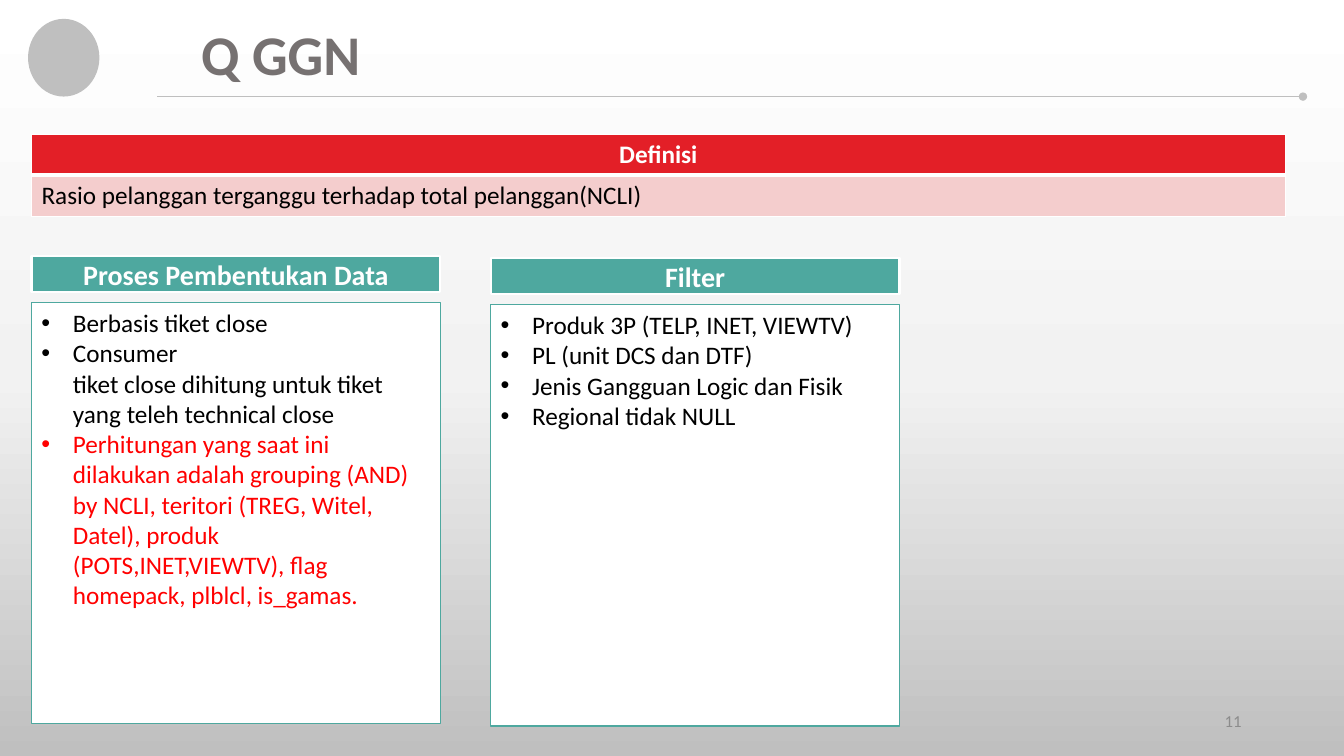
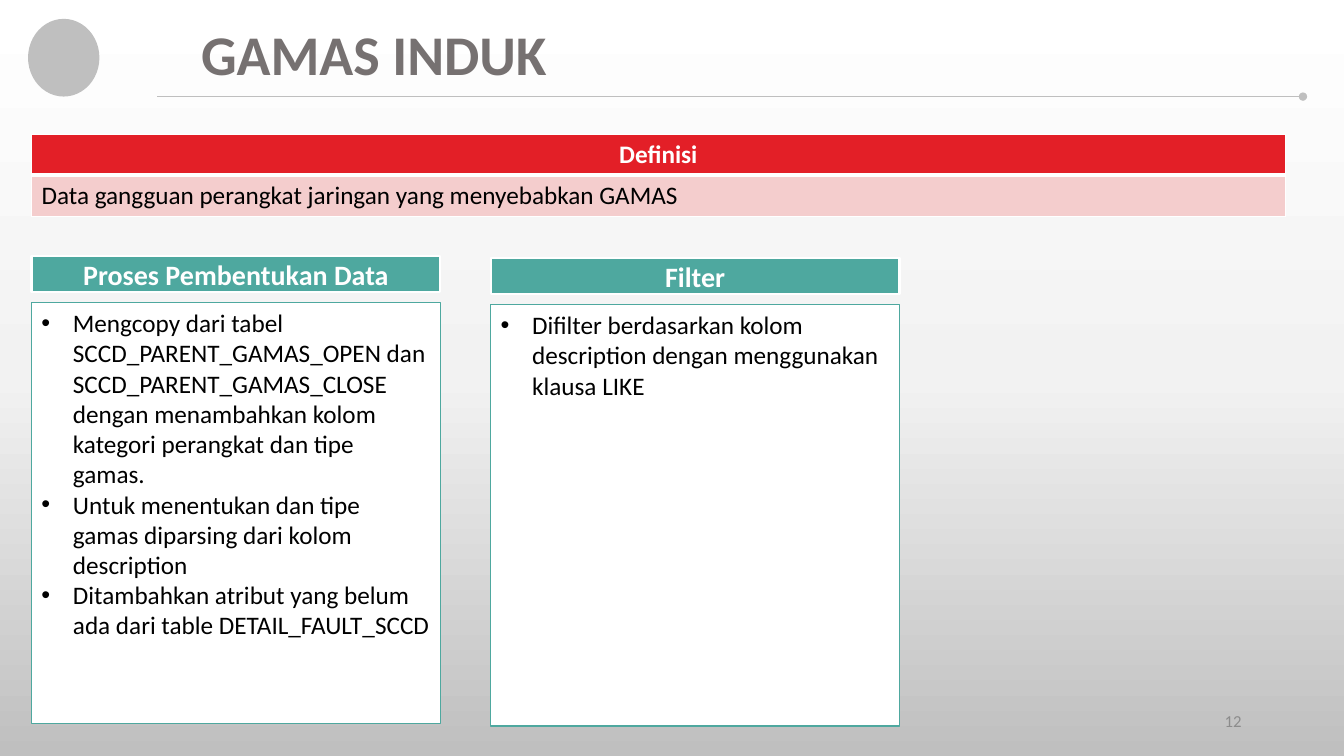
"""Build the two data-definition slides, Q GGN and GAMAS INDUK."""
from copy import deepcopy
from dataclasses import dataclass

from lxml.etree import SubElement
from pptx import Presentation
from pptx.dml.color import RGBColor as Rgb
from pptx.enum.shapes import MSO_CONNECTOR as Connector, MSO_SHAPE as Preset
from pptx.enum.text import MSO_ANCHOR as Anchor, MSO_AUTO_SIZE as AutoSize, PP_ALIGN as Align
from pptx.oxml.ns import qn
from pptx.util import Pt

FONT = "Calibri"
COLORS = {
    "white": "FFFFFF", "black": "000000", "mist": "F2F2F2", "silver": "BFBFBF",
    "title": "767171", "number": "8C8C8C", "red": "E31F27", "pink": "F4CDCD",
    "teal": "4EA89F", "alert": "FF0000",
}
LEFT = 22.5
COLUMN_WIDTH, COLUMN_STEP = 292, 328
HEADING_TOP, HEADING_HEIGHT = 183, 25.6
PANEL_OFFSET, PANEL_HEIGHT = 33, 301
COLUMN_DROP = 1.5
TABLE_WIDTH, ROW_HEIGHT = 895.5, 29.2
BULLET_INDENT = 22.5


@dataclass(frozen=True)
class Point:
    text: str
    color: str = "black"


@dataclass(frozen=True)
class Column:
    heading: str
    points: tuple[Point, ...]


@dataclass(frozen=True)
class Topic:
    number: int
    title: str
    definition: str
    columns: tuple[Column, ...]


TOPICS = (
    Topic(11, "Q GGN", "Rasio pelanggan terganggu terhadap total pelanggan(NCLI)", (
        Column("Proses Pembentukan Data", (
            Point("Berbasis tiket close"),
            Point("Consumer\ntiket close dihitung untuk tiket yang teleh technical close"),
            Point("Perhitungan yang saat ini dilakukan adalah grouping (AND) by NCLI, "
                  "teritori (TREG, Witel, Datel), produk (POTS,INET,VIEWTV), flag "
                  "homepack, plblcl, is_gamas.", "alert"),
        )),
        Column("Filter", (
            Point("Produk 3P (TELP, INET, VIEWTV)"),
            Point("PL (unit DCS dan DTF)"),
            Point("Jenis Gangguan Logic dan Fisik"),
            Point("Regional tidak NULL"),
        )),
    )),
    Topic(12, "GAMAS INDUK", "Data gangguan perangkat jaringan yang menyebabkan GAMAS", (
        Column("Proses Pembentukan Data", (
            Point("Mengcopy dari tabel SCCD_PARENT_GAMAS_OPEN dan SCCD_PARENT_GAMAS_CLOSE "
                  "dengan menambahkan kolom kategori perangkat dan tipe gamas."),
            Point("Untuk menentukan dan tipe gamas diparsing dari kolom description"),
            Point("Ditambahkan atribut yang belum ada dari table DETAIL_FAULT_SCCD"),
        )),
        Column("Filter", (
            Point("Difilter berdasarkan kolom description dengan menggunakan klausa LIKE"),
        )),
    )),
)


def rgb(name: str) -> Rgb:
    return Rgb.from_string(COLORS[name])


def write(paragraph, text: str, *, size: float = 18, color: str = "black",
          bold: bool = False, align=Align.LEFT, bullet: bool = False) -> None:
    paragraph.text = text
    paragraph.alignment = align
    if bullet:
        properties = paragraph._p.get_or_add_pPr()
        properties.set("marL", str(Pt(BULLET_INDENT)))
        properties.set("indent", str(-Pt(BULLET_INDENT)))
        SubElement(properties, qn("a:buFont"), typeface="Arial")
        SubElement(properties, qn("a:buChar"), char="•")
    for run in paragraph.runs:
        run.font.name, run.font.size, run.font.bold = FONT, Pt(size), bold
        run.font.color.rgb = rgb(color)


def add_label(slide, left: float, top: float, width: float, height: float,
              text: str, *, anchor=Anchor.TOP, grow: bool = False, **style) -> None:
    frame = slide.shapes.add_textbox(Pt(left), Pt(top), Pt(width), Pt(height)).text_frame
    frame.word_wrap, frame.vertical_anchor = True, anchor
    if grow:
        frame.auto_size = AutoSize.SHAPE_TO_FIT_TEXT
    write(frame.paragraphs[0], text, **style)


def add_block(slide, preset, left: float, top: float, width: float, height: float, *,
              fill: str, line: str | None = None, weight: float = 1, anchor=Anchor.TOP):
    block = slide.shapes.add_shape(preset, Pt(left), Pt(top), Pt(width), Pt(height))
    block.shadow.inherit = False
    block.fill.solid()
    block.fill.fore_color.rgb = rgb(fill)
    if line:
        block.line.color.rgb, block.line.width = rgb(line), Pt(weight)
    else:
        block.line.fill.background()
    block.text_frame.word_wrap, block.text_frame.vertical_anchor = True, anchor
    return block.text_frame


def add_title_rule(slide) -> None:
    rule = slide.shapes.add_connector(Connector.STRAIGHT, Pt(112.3), Pt(69), Pt(930.7), Pt(69))
    rule.line.color.rgb, rule.line.width = rgb("silver"), Pt(0.5)
    SubElement(rule.line._get_or_add_ln(), qn("a:tailEnd"), type="oval")
    SubElement(rule._element.spPr, qn("a:effectLst"))


def paint_cell(cell, fill: str, bottom: float) -> None:
    cell.fill.solid()
    cell.fill.fore_color.rgb = rgb(fill)
    properties = cell._tc.get_or_add_tcPr()
    for position, (side, weight) in enumerate(zip("LRTB", (1, 1, 1, bottom))):
        border = SubElement(properties, qn(f"a:ln{side}"), w=str(Pt(weight)))
        SubElement(SubElement(border, qn("a:solidFill")), qn("a:srgbClr"), val=COLORS["white"])
        properties.insert(position, border)


def add_definition(slide, definition: str) -> None:
    table = slide.shapes.add_table(2, 1, Pt(LEFT), Pt(96), Pt(TABLE_WIDTH),
                                   Pt(2 * ROW_HEIGHT)).table
    table.horz_banding = False
    heading, body = table.cell(0, 0), table.cell(1, 0)
    paint_cell(heading, "red", 3)
    paint_cell(body, "pink", 1)
    write(heading.text_frame.paragraphs[0], "Definisi", color="white", bold=True,
          align=Align.CENTER)
    write(body.text_frame.paragraphs[0], definition)


def add_column(slide, index: int, column: Column) -> None:
    left = LEFT + index * COLUMN_STEP
    top = HEADING_TOP + index * COLUMN_DROP
    panel = add_block(slide, Preset.RECTANGLE, left, top + PANEL_OFFSET, COLUMN_WIDTH,
                      PANEL_HEIGHT, fill="white", line="teal")
    for position, point in enumerate(column.points):
        paragraph = panel.add_paragraph() if position else panel.paragraphs[0]
        write(paragraph, point.text, color=point.color, bullet=True)
    heading = add_block(slide, Preset.RECTANGLE, left, top, COLUMN_WIDTH, HEADING_HEIGHT,
                        fill="teal", line="white", weight=1.5, anchor=Anchor.MIDDLE)
    write(heading.paragraphs[0], column.heading, size=20, color="white", bold=True,
          align=Align.CENTER)


def paint_background(master) -> None:
    fill = master.background.fill
    fill.gradient()
    fill.gradient_angle = 270
    first_stop = next(master.element.iter(qn("a:gs")))
    first_stop.addnext(deepcopy(first_stop))
    for stop, position, color in zip(fill.gradient_stops, (0, 0.5, 1),
                                     ("white", "mist", "silver")):
        stop.position, stop.color.rgb = position, rgb(color)


def add_topic(deck, topic: Topic) -> None:
    slide = deck.slides.add_slide(deck.slide_layouts[6])
    add_title_rule(slide)
    add_block(slide, Preset.OVAL, 20, 13.5, 51, 55.5, fill="silver")
    add_label(slide, 136.6, 10.4, 666.7, 55.4, topic.title, grow=True,
              size=40, color="title", bold=True)
    add_label(slide, 678, 500.5, 216, 28.8, str(topic.number), anchor=Anchor.MIDDLE,
              size=12, color="number", align=Align.RIGHT)
    add_definition(slide, topic.definition)
    for index, column in enumerate(topic.columns):
        add_column(slide, index, column)


def main() -> None:
    deck = Presentation()
    deck.slide_width, deck.slide_height = Pt(960), Pt(540)
    paint_background(deck.slide_master)
    for topic in TOPICS:
        add_topic(deck, topic)
    deck.save("out.pptx")


if __name__ == "__main__":
    main()
